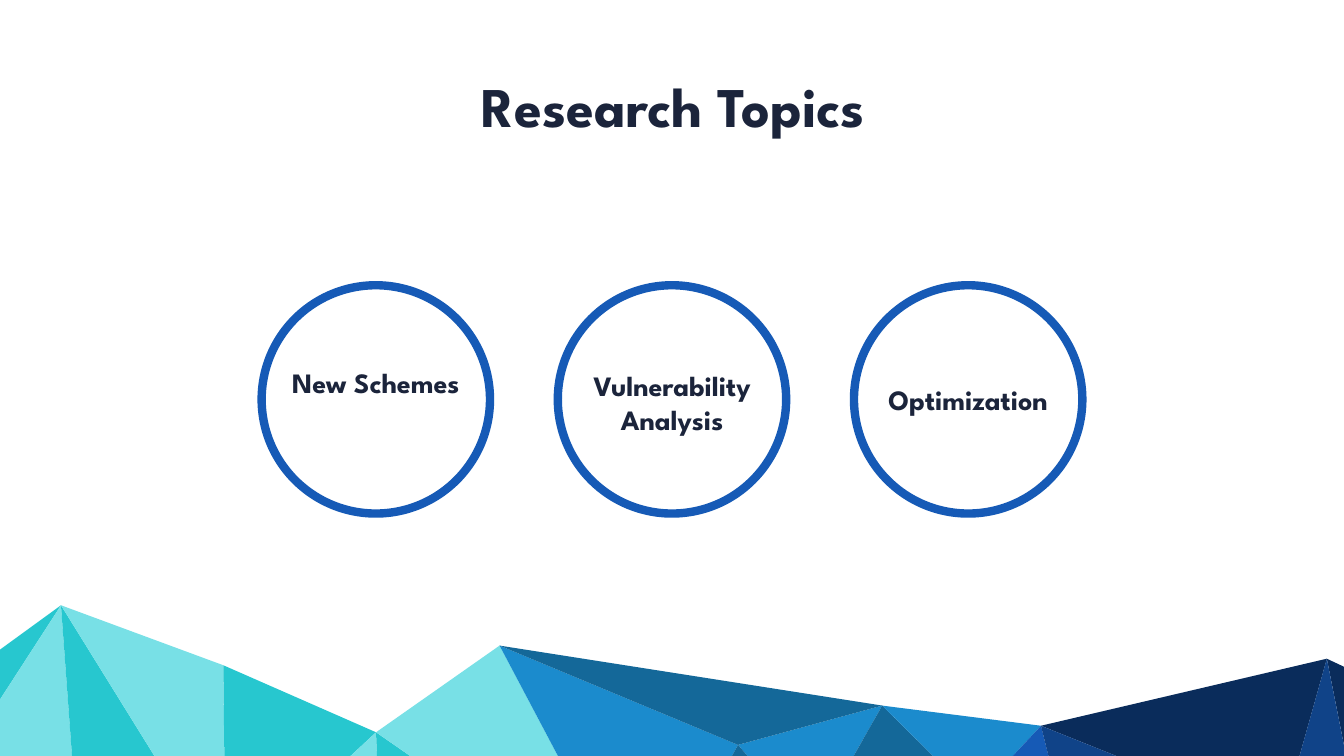
import pptx
import pptx.util
import pptx.dml.color
import pptx.enum.shapes
import pptx.enum.text

Inches = pptx.util.Inches

FONT = "League Spartan"
INK = "1B243B"
BLUE = "165AB6"
TEAL, AQUA = "27C7CF", "78E0E6"
SKY, STEEL = "1B8BCD", "146899"
NAVY, ROYAL = "0A2C5B", "104388"

# Corners of the mountain mesh, in inches from the top left of its box
NODES = {
    "a": (0, 0.89), "b": (0, 1.88), "c": (-0.02, 4.64), "d": (1.55, 4.64),
    "e": (4.08, 4.64), "f": (4.47, 4.64), "g": (4.43, 1.2), "h": (5.18, 4.64),
    "i": (7.46, 2.53), "j": (7.54, 4.64), "k": (10.5, 4.64), "l": (9.91, 0.81),
    "m": (11.94, 4.65), "n": (13.6, 4.67), "o": (14.64, 2.78), "p": (1.21, 0.01),
    "q": (16.1, 4.47), "r": (17.5, 2), "s": (19.33, 3.81), "t": (20.65, 2.4),
    "u": (20.28, 4.71), "v": (21.22, 4.71), "w": (25.41, 4.31), "x": (26.32, 1.07),
    "y": (24.41, 4.71), "z": (26.81, 1.3), "A": (26.81, 3.55), "B": (26.81, 4.71),
    "C": (26, 4.71), "D": (15.71, 4.68),
}
FACETS = [
    ("pab", TEAL), ("dpbc", AQUA), ("epd", TEAL), ("fgpe", AQUA),
    ("higf", TEAL), ("jih", AQUA), ("kij", TEAL), ("mlik", AQUA),
    ("nolm", SKY), ("oqr", SKY), ("qsr", STEEL), ("rst", SKY),
    ("vtsu", BLUE), ("twx", NAVY), ("ywtv", ROYAL), ("zxA", NAVY),
    ("BAxwC", ROYAL), ("lro", STEEL), ("Dqon", STEEL),
]
# Each topic with the top and height of its label inside the ring's box
TOPICS = [
    ("New Schemes", 1.55, 1.45),
    ("Vulnerability Analysis", 1.61, 1.57),
    ("Optimization", 1.88, 0.77),
]


def color(code):
    return pptx.dml.color.RGBColor.from_string(code)


def write(shape, text, size=40, side=0.1, bold=True, ink=INK):
    frame = shape.text_frame
    frame.word_wrap = True
    frame.auto_size = pptx.enum.text.MSO_AUTO_SIZE.NONE
    frame.vertical_anchor = pptx.enum.text.MSO_ANCHOR.TOP
    frame.margin_left = frame.margin_right = Inches(side)
    frame.margin_top = frame.margin_bottom = Inches(0.05)
    para = frame.paragraphs[0]
    para.alignment = pptx.enum.text.PP_ALIGN.CENTER
    run = para.add_run()
    run.text = text
    run.font.name = FONT
    run.font.size = pptx.util.Pt(size)
    run.font.bold = bold
    run.font.color.rgb = color(ink)


def title(slide, left, top, width, height):
    shape = slide.shapes.title
    shape.left, shape.top = Inches(left), Inches(top)
    shape.width, shape.height = Inches(width), Inches(height)
    write(shape, "Research Topics", size=80)


def mountains(slide, left, top):
    for names, fill in FACETS:
        points = [(Inches(left + NODES[name][0]), Inches(top + NODES[name][1]))
                  for name in names]
        outline = slide.shapes.build_freeform(*points[0])
        outline.add_line_segments(points[1:], close=True)
        facet = outline.convert_to_shape()
        facet.shadow.inherit = False
        facet.fill.solid()
        facet.fill.fore_color.rgb = color(fill)
        facet.line.fill.background()


def topic(slide, left, top, size, text, drop, height):
    """Draw a ring with its label, which starts drop inches below the top."""
    ring = slide.shapes.add_shape(
        pptx.enum.shapes.MSO_SHAPE.OVAL,
        Inches(left), Inches(top), Inches(size), Inches(size))
    ring.shadow.inherit = False
    ring.fill.background()
    ring.line.color.rgb = color(BLUE)
    ring.line.width = pptx.util.Pt(12)
    width = 3.52
    label = slide.shapes.add_textbox(
        Inches(left + (size - width) / 2), Inches(top + drop),
        Inches(width), Inches(height))
    write(label, text, side=0)


def topics(slide, left, top, width, size):
    step = (width - size) / (len(TOPICS) - 1)
    for index, (text, drop, height) in enumerate(TOPICS):
        topic(slide, left + index * step, top, size, text, drop, height)


def main():
    deck = pptx.Presentation()
    deck.slide_width, deck.slide_height = Inches(26.66), Inches(15)
    slide = deck.slides.add_slide(deck.slide_layouts[5])
    mountains(slide, 0, 12)
    title(slide, 3.65, 1.36, 19.41, 1.45)
    topics(slide, 5.19, 5.66, 16.28, 4.53)
    deck.save("out.pptx")


if __name__ == "__main__":
    main()
